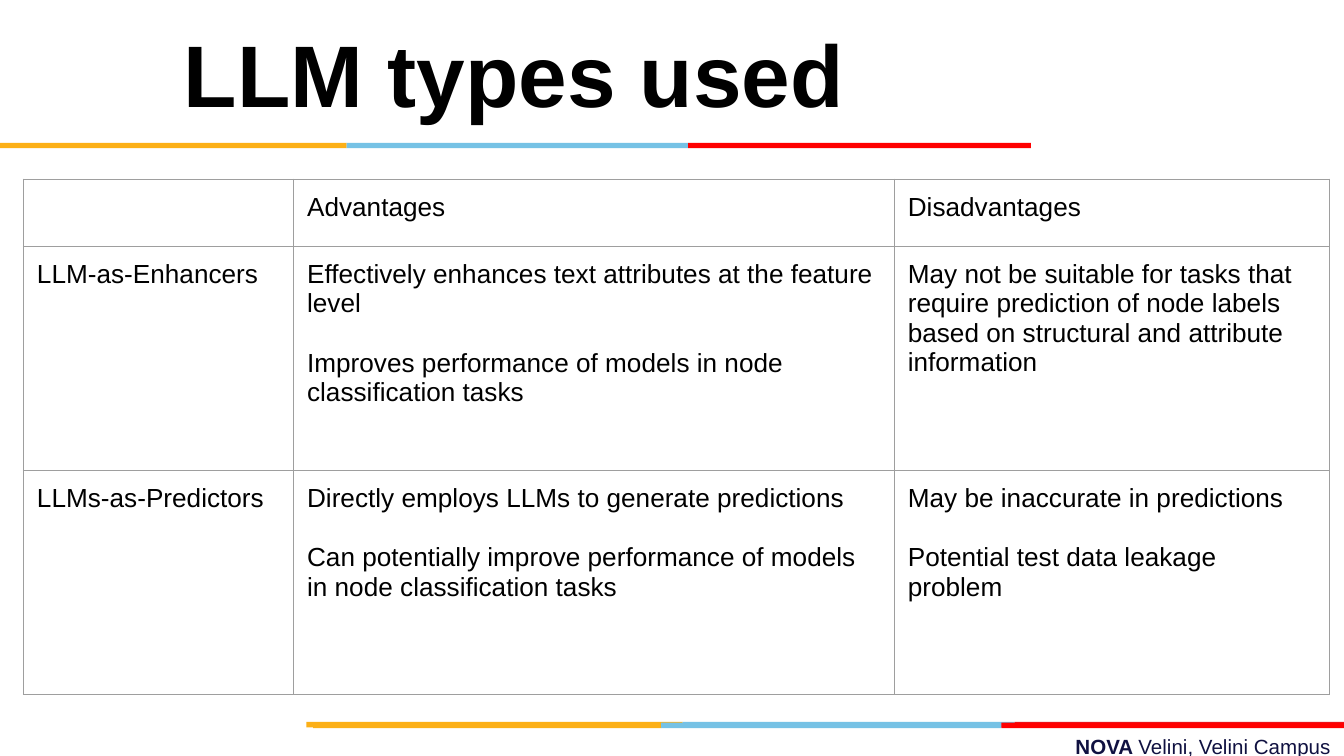
from dataclasses import dataclass

from lxml.etree import SubElement
from pptx import Presentation
from pptx.dml.color import RGBColor
from pptx.enum.shapes import MSO_SHAPE
from pptx.enum.text import MSO_ANCHOR, PP_ALIGN
from pptx.oxml.ns import qn
from pptx.util import Inches, Pt

WHITE = RGBColor(0xFF, 0xFF, 0xFF)
BLACK = RGBColor(0x00, 0x00, 0x00)
NAVY = RGBColor(0x10, 0x11, 0x41)
AMBER = RGBColor(0xFC, 0xB0, 0x17)
SKY = RGBColor(0x76, 0xC2, 0xE5)
CRIMSON = RGBColor(0xE3, 0x1C, 0x24)
RED = RGBColor(0xFF, 0x00, 0x00)
GREY = RGBColor(0x9E, 0x9E, 0x9E)

FONT = "Arial"
SLIDE_WIDTH = Inches(10)
SLIDE_HEIGHT = SLIDE_WIDTH * 9 // 16
CELL_MARGIN = Inches(0.1)
BAND_HEIGHT = 0.71


@dataclass(frozen=True)
class Band:
    """Three-colour rule; edges and top are percentages of the slide."""
    top: float
    edges: tuple[float, ...]
    colors: tuple[RGBColor, ...]


BANDS = [
    Band(95.5, (22.8, 50.8, 75.5, 100), (AMBER, SKY, CRIMSON)),
    Band(95.6, (23.3, 49.2, 74.5, 100), (AMBER, SKY, RED)),
    Band(18.9, (0, 25.8, 51.2, 76.7), (AMBER, SKY, RED)),
]

COLUMN_SHARES = (20.1, 44.7, 32.4)
ROW_SHARES = (7.64, 29.65, 29.65)
ROWS = [
    ([], ["Advantages"], ["Disadvantages"]),
    (
        ["LLM-as-Enhancers"],
        ["Effectively enhances text attributes at the feature level",
         "Improves performance of models in node classification tasks"],
        ["May not be suitable for tasks that require prediction of node "
         "labels based on structural and attribute information"],
    ),
    (
        ["LLMs-as-Predictors"],
        ["Directly employs LLMs to generate predictions",
         "Can potentially improve performance of models in node "
         "classification tasks"],
        ["May be inaccurate in predictions",
         "Potential test data leakage problem"],
    ),
]


def across(percent: float) -> int:
    return round(SLIDE_WIDTH * percent / 100)


def down(percent: float) -> int:
    return round(SLIDE_HEIGHT * percent / 100)


def set_font(font, size: float, color: RGBColor) -> None:
    font.name = FONT
    font.size = Pt(size)
    font.color.rgb = color


def draw_band(page, band: Band) -> None:
    for left, right, color in zip(band.edges, band.edges[1:], band.colors):
        bar = page.shapes.add_shape(
            MSO_SHAPE.RECTANGLE, across(left), down(band.top),
            across(right - left), down(BAND_HEIGHT))
        bar.shadow.inherit = False
        bar.fill.solid()
        bar.fill.fore_color.rgb = color
        bar.line.fill.background()


def draw_footer(page) -> None:
    box = page.shapes.add_textbox(
        across(35.8), down(96.2), across(64.2), down(5.16))
    box.text_frame.word_wrap = True
    para = box.text_frame.paragraphs[0]
    para.alignment = PP_ALIGN.RIGHT
    set_font(para.font, 11, NAVY)
    for text, bold in (("NOVA ", True), ("Velini, Velini Campus", False)):
        span = para.add_run()
        span.text = text
        span.font.bold = bold


def format_title(page) -> None:
    title = page.shapes.title
    title.left, title.top = across(0.8), down(1.96)
    title.width, title.height = across(74.9), down(15.48)
    frame = title.text_frame
    frame.text = "LLM types used"
    frame.vertical_anchor = MSO_ANCHOR.BOTTOM
    para = frame.paragraphs[0]
    para.alignment = PP_ALIGN.CENTER
    set_font(para.font, 46.8, BLACK)
    para.font.bold = True


def outline_cell(cell) -> None:
    properties = cell._tc.get_or_add_tcPr()
    for position, side in enumerate(("lnL", "lnR", "lnT", "lnB")):
        line = SubElement(properties, qn(f"a:{side}"), w=str(Pt(0.75)))
        fill = SubElement(line, qn("a:solidFill"))
        SubElement(fill, qn("a:srgbClr"), val=str(GREY))
        properties.insert(position, line)


def set_empty_font(para) -> None:
    """Give a paragraph without runs the slide's font, which sets its height."""
    end = SubElement(para._p, qn("a:endParaRPr"), sz="1800")
    SubElement(end, qn("a:latin"), typeface=FONT)


def fill_cell(cell, texts: list[str]) -> None:
    cell.fill.background()
    outline_cell(cell)
    cell.margin_left = cell.margin_right = CELL_MARGIN
    cell.margin_top = cell.margin_bottom = CELL_MARGIN
    frame = cell.text_frame
    if not texts:
        set_empty_font(frame.paragraphs[0])
    for index, text in enumerate(texts):
        para = frame.add_paragraph() if index else frame.paragraphs[0]
        para.text = text
        set_font(para.font, 14, BLACK)
        if index:
            para.space_before = Pt(16)


def draw_table(page) -> None:
    table = page.shapes.add_table(
        len(ROWS), len(COLUMN_SHARES), across(1.75), down(23.7),
        across(sum(COLUMN_SHARES)), down(sum(ROW_SHARES))).table
    table.first_row = False
    table.horz_banding = False
    for column, share in zip(table.columns, COLUMN_SHARES):
        column.width = across(share)
    for row, share, contents in zip(table.rows, ROW_SHARES, ROWS):
        row.height = down(share)
        for cell, texts in zip(row.cells, contents):
            fill_cell(cell, texts)


def main() -> None:
    deck = Presentation()
    deck.slide_width = SLIDE_WIDTH
    deck.slide_height = SLIDE_HEIGHT
    page = deck.slides.add_slide(deck.slide_layouts[5])
    page.background.fill.solid()
    page.background.fill.fore_color.rgb = WHITE
    draw_footer(page)
    for band in BANDS:
        draw_band(page, band)
    format_title(page)
    draw_table(page)
    deck.save("out.pptx")


if __name__ == "__main__":
    main()
